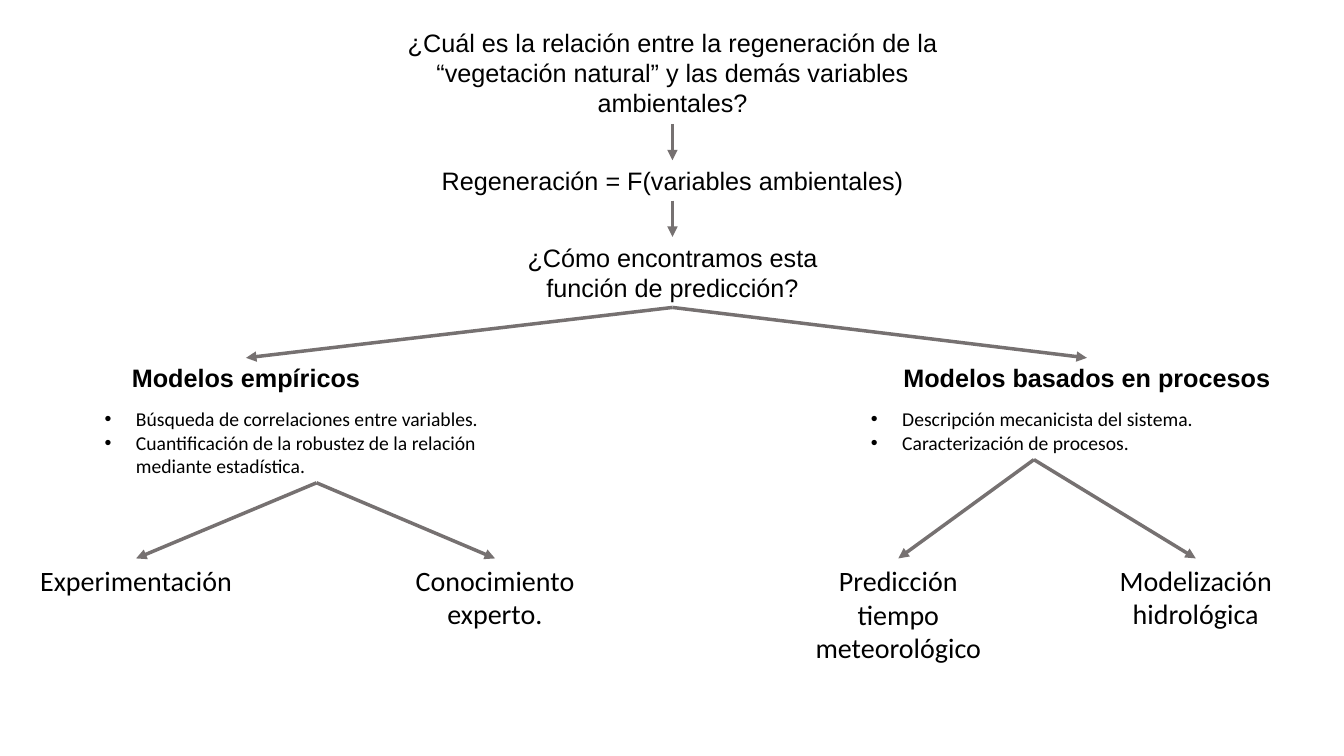
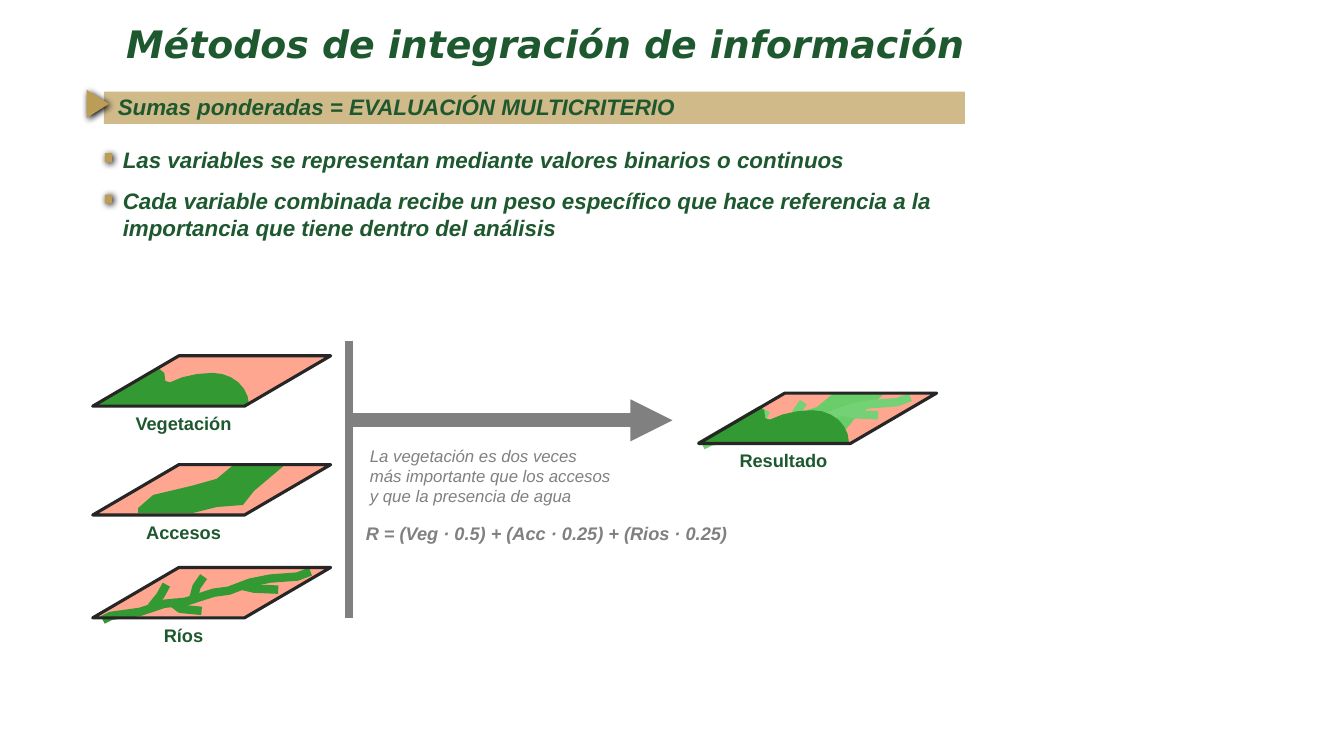
"""Build two slides on models of vegetation regeneration and weighted sums of map layers."""
import math

import lxml.etree
import pptx
import pptx.dml.color
import pptx.enum.shapes
import pptx.enum.text
import pptx.oxml.ns
import pptx.util

Inches = pptx.util.Inches
Pt = pptx.util.Pt
qn = pptx.oxml.ns.qn
colour = pptx.dml.color.RGBColor.from_string
PRESETS = pptx.enum.shapes.MSO_SHAPE
ALIGN = pptx.enum.text.PP_ALIGN

BLACK, ARROW_GREY, MODEL_GREY = "000000", "767171", "808080"
DARK_GREEN, SAND, GOLD = "1E582F", "D0BA8A", "BB9D57"
SOIL, PLANT, PALE_ROAD, PALE_RIVER, FRAME = "FFA691", "339933", "69CD69", "75D175", "262626"


def add_text(slide, box, lines, size, font="Arial", ink=BLACK, bold=False, italic=False,
             align=ALIGN.LEFT, title=False, bullets=False, wrap=True):
    shape = slide.shapes.title if title else slide.shapes.add_textbox(0, 0, 0, 0)
    shape.left, shape.top, shape.width, shape.height = map(Inches, box)
    frame = shape.text_frame
    frame.text = lines
    frame.word_wrap = wrap
    frame.auto_size = pptx.enum.text.MSO_AUTO_SIZE.NONE
    frame.vertical_anchor = pptx.enum.text.MSO_ANCHOR.TOP
    for paragraph in frame.paragraphs:
        paragraph.alignment = align
        paragraph.font.name = font
        paragraph.font.size = Pt(size)
        paragraph.font.bold = bold
        paragraph.font.italic = italic
        paragraph.font.color.rgb = colour(ink)
        if bullets:
            properties = paragraph._p.get_or_add_pPr()
            properties.set("marL", str(Inches(0.31)))
            properties.set("indent", str(-Inches(0.31)))
            defaults = properties.find(qn("a:defRPr"))
            for tag, attribute, value in [("buFont", "typeface", "Arial"), ("buChar", "char", "•")]:
                defaults.addprevious(lxml.etree.Element(qn(f"a:{tag}"), {attribute: value}))
    return shape


def add_line(slide, start, end, ink, width, arrow=True):
    line = slide.shapes.add_connector(
        pptx.enum.shapes.MSO_CONNECTOR.STRAIGHT, *map(Inches, (*start, *end)))
    line.line.color.rgb = colour(ink)
    line.line.width = Pt(width)
    if arrow:
        lxml.etree.SubElement(line.line._get_or_add_ln(), qn("a:tailEnd"), type="triangle")
    lxml.etree.SubElement(line._element.spPr, qn("a:effectLst"))
    return line


deck = pptx.Presentation()
deck.slide_width, deck.slide_height = Inches(13.33), Inches(7.5)
title_only = deck.slide_layouts[5]

models = deck.slides.add_slide(title_only)
trunk, empirical_axis, process_axis = 6.67, 2.44, 10.78
family_top, traits_top, example_top = 3.55, 3.99, 5.54

question, formula, method, empirical, processes = [
    add_text(models, (centre - width / 2, top, width, height), text, 18, bold=top == family_top,
             align=ALIGN.CENTER, title=top < 1)
    for centre, top, width, height, text in [
        (trunk, 0.22, 5.8, 1.01, "¿Cuál es la relación entre la regeneración de la "
         "“vegetación natural” y las demás variables ambientales?"),
        (trunk, 1.59, 5.8, 0.4, "Regeneración = F(variables ambientales)"),
        (trunk, 2.35, 3.4, 0.7, "¿Cómo encontramos esta función de predicción?"),
        (empirical_axis, family_top, 3.4, 0.4, "Modelos empíricos"),
        (process_axis, family_top, 3.92, 0.4, "Modelos basados en procesos"),
    ]]
empirical_traits, process_traits = [
    add_text(models, (left, traits_top, width, height), text, 14, font="Calibri", bullets=True)
    for left, width, height, text in [
        (0.94, 4.4, 0.8, "Búsqueda de correlaciones entre variables.\n"
         "Cuantificación de la robustez de la relación mediante estadística."),
        (8.54, 3.43, 0.57, "Descripción mecanicista del sistema.\n"
         "Caracterización de procesos."),
    ]]
experiment, expert, weather, hydrology = [
    add_text(models, (centre - width / 2, example_top, width, height), text, 20,
             font="Calibri", align=ALIGN.CENTER)
    for centre, width, height, text in [
        (1.35, 2.19, 0.44, "Experimentación"),
        (4.91, 1.8, 0.77, "Conocimiento experto."),
        (8.91, 2.06, 1.11, "Predicción tiempo meteorológico"),
        (11.86, 2.06, 0.77, "Modelización hidrológica"),
    ]]
for parent, children in [
    (question, [formula]), (formula, [method]), (method, [empirical, processes]),
    (empirical_traits, [experiment, expert]), (process_traits, [weather, hydrology]),
]:
    for child in children:
        branch = add_line(models, (0, 0), (0, 0), ARROW_GREY, 2.5)
        branch.begin_connect(parent, 2)
        branch.end_connect(child, 0)

sums = deck.slides.add_slide(title_only)
add_text(sums, (1.15, 0.16, 8.85, 0.55), "Métodos de integración de información", 27,
         font="DejaVu Sans", ink=DARK_GREEN, bold=True, italic=True, title=True)

statements = [
    (1.4, 0.37, "Las variables se representan mediante valores binarios o continuos"),
    (1.81, 0.64, "Cada variable combinada recibe un peso específico que hace referencia a la "
     "importancia que tiene dentro del análisis"),
]
banner = (PRESETS.ROUNDED_RECTANGLE, (1.03, 0.91, 8.54, 0.32), SAND, 0)
pointer = (PRESETS.ISOSCELES_TRIANGLE, (0.83, 0.92, 0.28, 0.22), GOLD, 90)
markers = [(PRESETS.RECTANGLE, (1.03, top + 0.13, 0.09, 0.07), GOLD, 90)
           for top, height, text in statements]
for preset, box, fill, turn in [banner, pointer, *markers]:
    ornament = sums.shapes.add_shape(preset, *map(Inches, box))
    ornament.rotation = turn
    ornament.fill.solid()
    ornament.fill.fore_color.rgb = colour(fill)
    ornament.line.fill.background()
    ornament.shadow.inherit = False
    if preset == PRESETS.ROUNDED_RECTANGLE:
        ornament.adjustments[0] = 0.02
    if fill == GOLD:
        shadow = lxml.etree.SubElement(
            ornament._element.spPr.find(qn("a:effectLst")), qn("a:outerShdw"),
            blurRad=str(Pt(5)), dist=str(Pt(1.4)), dir=str(45 * 60000), rotWithShape="0")
        lxml.etree.SubElement(shadow, qn("a:srgbClr"), val=BLACK)

add_text(sums, (1.07, 0.88, 5.77, 0.37), "Sumas ponderadas = EVALUACIÓN MULTICRITERIO", 16,
         ink=DARK_GREEN, bold=True, italic=True, wrap=False)
for top, height, text in statements:
    add_text(sums, (1.12, top, 8.3, height), text, 16, ink=DARK_GREEN, bold=True, italic=True)

tile_width, tile_height, tile_slant = 2.36, 0.5, 1.71

hill_x, hill_base, hill_height = 1.19, 0.49, 0.32
hill_left_radius, hill_right_radius = 0.6, 0.36
hillside = [(0.04, hill_base), (0.66, 0.13), (0.71, 0.17), (0.72, 0.25)]
hilltop = []
for degrees in range(135, -1, -15):
    angle = math.radians(degrees)
    radius = hill_left_radius if degrees > 90 else hill_right_radius
    hilltop.append((hill_x + radius * math.cos(angle),
                    hill_base - hill_height * math.sin(angle)))
forest = [hillside + hilltop]

road_north = [(0.45, 0.43), (0.6, 0.3), (0.98, 0.21), (1.23, 0.14), (1.41, -0.01)]
road_south = [(0.45, 0.48), (0.99, 0.48), (1.23, 0.42), (1.49, 0.4), (1.6, 0.26), (1.92, -0.01)]
road = [road_north + road_south[::-1]]

main_stream = [(0.1, 0.52), (0.18, 0.48), (0.47, 0.44), (0.71, 0.36), (0.92, 0.34),
               (1.2, 0.25), (1.35, 0.23), (1.56, 0.15), (1.76, 0.11), (2.03, 0.09), (2.16, 0.04)]
tributaries = [
    [(0.58, 0.39), (0.67, 0.28), (0.73, 0.17)],
    [(1, 0.3), (1.03, 0.19), (1.1, 0.09)],
    [(0.78, 0.34), (0.87, 0.41), (1.08, 0.43)],
    [(1.47, 0.18), (1.6, 0.21), (1.84, 0.22)],
]
rivers = [main_stream, *tributaries]

tiles = [
    ("Vegetación", 0.92, 3.53, 0, [(forest, PLANT)]),
    ("Accesos", 0.92, 4.61, 0, [(road, PLANT)]),
    ("Ríos", 0.92, 5.63, 0, [(rivers, PLANT)]),
    ("Resultado", 6.93, 3.9, -0.06,
     [(road, PALE_ROAD), (rivers, PALE_RIVER), (forest, PLANT)]),
]
for name, left, top, drift, layers in tiles:
    ground, border = [
        sums.shapes.add_shape(PRESETS.PARALLELOGRAM,
                              *map(Inches, (left, top, tile_width, tile_height)))
        for part in ("ground", "border")]
    for plane in (ground, border):
        plane.adjustments[0] = tile_slant
        plane.shadow.inherit = False
    ground.fill.solid()
    ground.fill.fore_color.rgb = colour(SOIL)
    ground.line.fill.background()
    border.fill.background()
    border.line.color.rgb = colour(FRAME)
    border.line.width = Pt(2.25)

    for outlines, ink in layers:
        for outline in outlines:
            points = [(Inches(left + drift + x), Inches(top + y)) for x, y in outline]
            builder = sums.shapes.build_freeform(*points[0], scale=1.0)
            builder.add_line_segments(points[1:], close=outlines is not rivers)
            patch = builder.convert_to_shape()
            patch.shadow.inherit = False
            if outlines is rivers:
                patch.fill.background()
                patch.line.color.rgb = colour(ink)
                patch.line.width = Pt(6)
            else:
                patch.fill.solid()
                patch.fill.fore_color.rgb = colour(ink)
                patch.line.fill.background()
            border._element.addprevious(patch._element)

    add_text(sums, (left + drift, top + 0.51, 1.8, 0.32), name, 13, ink=DARK_GREEN, bold=True,
             align=ALIGN.CENTER)

add_text(sums, (3.57, 4.37, 2.61, 1.17),
         "La vegetación es dos veces más importante que los accesos "
         "y que la presencia de agua", 12, ink=MODEL_GREY, italic=True)
add_text(sums, (3.53, 5.13, 3.88, 0.35), "R = (Veg · 0.5) + (Acc · 0.25) + (Rios · 0.25)", 13,
         ink=MODEL_GREY, bold=True, italic=True, wrap=False)
bar_x, flow_y = 3.46, 4.17
add_line(sums, (bar_x, flow_y), (6.67, flow_y), MODEL_GREY, 10)
add_line(sums, (bar_x, 3.38), (bar_x, 6.13), MODEL_GREY, 5.25, arrow=False)

deck.save("out.pptx")
